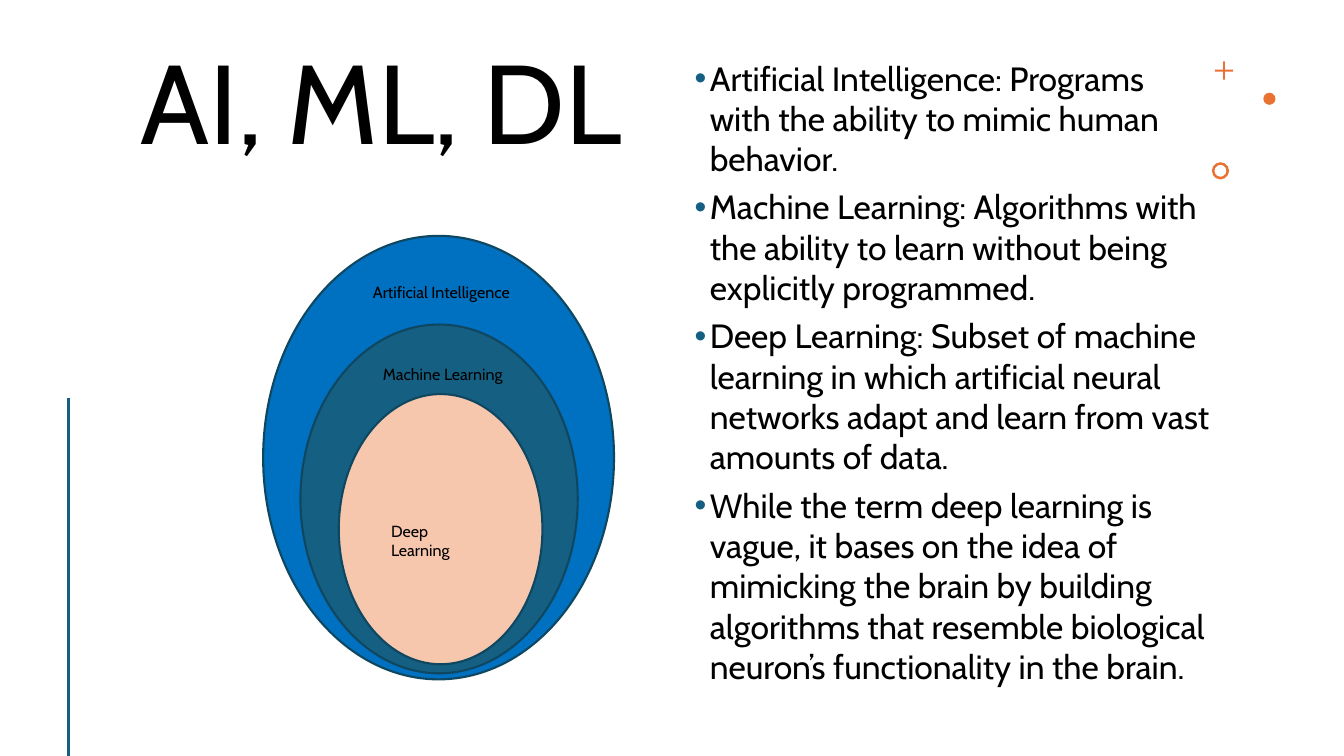
import pptx
import pptx.dml.color
import pptx.enum.shapes
import pptx.enum.text
import pptx.oxml.ns
import pptx.util
from lxml import etree
from pptx.util import Inches

SHAPE = pptx.enum.shapes.MSO_SHAPE
ANCHOR = pptx.enum.text.MSO_ANCHOR
FONT = "Cabin"
COLORS = {
    "text": "000000",
    "accent": "E97132",
    "teal": "156082",
    "outline": "104760",
    "blue": "0070C0",
    "peach": "F6C6AD",
}
DEFINITIONS = [
    "Artificial Intelligence: Programs with the ability to mimic human behavior.",
    "Machine Learning: Algorithms with the ability to learn without being explicitly programmed.",
    "Deep Learning: Subset of machine learning in which artificial neural networks adapt and "
    "learn from vast amounts of data.",
    "While the term deep learning is vague, it bases on the idea of mimicking the brain by "
    "building algorithms that resemble biological neuron’s functionality in the brain.",
]
NESTED_FIELDS = [
    ("blue", (2.61, 2.34, 3.48, 4.4), "Artificial Intelligence", (3.6, 2.75, 1.65, 0.29)),
    ("teal", (2.98, 3.22, 2.75, 3.46), "Machine Learning", (3.7, 3.57, 1.6, 0.29)),
    ("peach", (3.36, 3.91, 2.02, 2.68), "Deep Learning", (3.78, 5.12, 1.18, 0.49)),
]


def color(name):
    return pptx.dml.color.RGBColor.from_string(COLORS[name])


def paint(shape, fill, outline=None):
    shape.shadow.inherit = False
    shape.fill.solid()
    shape.fill.fore_color.rgb = color(fill)
    if outline:
        shape.line.color.rgb = color(outline)
        shape.line.width = pptx.util.Pt(1.5)
    else:
        shape.line.fill.background()


def add_figure(slide, kind, box, fill, outline=None):
    figure = slide.shapes.add_shape(kind, *map(Inches, box))
    paint(figure, fill, outline)
    return figure


def add_frame(slide, box, margins=(0.1, 0.05), anchor=ANCHOR.TOP):
    frame = slide.shapes.add_textbox(*map(Inches, box)).text_frame
    frame.word_wrap = True
    frame.vertical_anchor = anchor
    frame.margin_left = frame.margin_right = Inches(margins[0])
    frame.margin_top = frame.margin_bottom = Inches(margins[1])
    return frame


def add_run(paragraph, text, size):
    run = paragraph.add_run()
    run.text = text
    run.font.size = pptx.util.Pt(size)
    run.font.name = FONT
    run.font.color.rgb = color("text")


def add_bullet(paragraph):
    properties = paragraph._p.get_or_add_pPr()
    properties.set("marL", str(Inches(0.15)))
    properties.set("indent", str(-Inches(0.15)))
    qn = pptx.oxml.ns.qn
    bullet_color = etree.SubElement(properties, qn("a:buClr"))
    etree.SubElement(bullet_color, qn("a:srgbClr"), val=COLORS["teal"])
    etree.SubElement(properties, qn("a:buFont"), typeface="Arial")
    etree.SubElement(properties, qn("a:buChar"), char="•")


def add_title(slide):
    frame = add_frame(slide, (1.3, 0.42, 10.23, 1.31), anchor=ANCHOR.MIDDLE)
    title = frame.paragraphs[0]
    title.line_spacing = 0.9
    add_run(title, "AI, ML, DL", 80)


def add_definitions(slide):
    frame = add_frame(slide, (6.82, 0.53, 5.25, 6.4), margins=(0.07, 0.04))
    for index, definition in enumerate(DEFINITIONS):
        paragraph = frame.add_paragraph() if index else frame.paragraphs[0]
        add_bullet(paragraph)
        if index:
            paragraph.space_before = pptx.util.Pt(5.7)
        add_run(paragraph, definition, 24)


def add_plus(slide, center_x, center_y, reach, half):
    corners = []
    across, down = 1, 0
    for _ in range(4):
        for along, aside in ((reach, -half), (reach, half), (half, half)):
            corners.append((
                Inches(center_x + along * across - aside * down),
                Inches(center_y + along * down + aside * across),
            ))
        across, down = -down, across
    builder = slide.shapes.build_freeform(*corners[0])
    builder.add_line_segments(corners[1:], close=True)
    paint(builder.convert_to_shape(), "accent")


def add_ornaments(slide):
    add_plus(slide, 12.14, 0.7, 0.09, 0.01)
    add_figure(slide, SHAPE.OVAL, (12.53, 0.92, 0.12, 0.12), "accent")
    ring = add_figure(slide, SHAPE.DONUT, (12.02, 1.61, 0.17, 0.17), "accent")
    ring.adjustments[0] = 0.15


def add_side_rule(slide):
    rule = slide.shapes.add_connector(
        pptx.enum.shapes.MSO_CONNECTOR.STRAIGHT,
        Inches(0.68), Inches(3.95), Inches(0.68), Inches(7.5),
    )
    rule.line.color.rgb = color("teal")
    rule.line.width = pptx.util.Pt(2)
    etree.SubElement(rule._element.spPr, pptx.oxml.ns.qn("a:effectLst"))


def add_nested_fields(slide):
    for fill, oval_box, label, label_box in NESTED_FIELDS:
        add_figure(slide, SHAPE.OVAL, oval_box, fill, "outline")
        add_run(add_frame(slide, label_box).paragraphs[0], label, 11.5)


def main():
    deck = pptx.Presentation()
    deck.slide_width = Inches(13.33)
    deck.slide_height = Inches(7.5)
    slide = deck.slides.add_slide(deck.slide_layouts[6])
    add_title(slide)
    add_ornaments(slide)
    add_side_rule(slide)
    add_definitions(slide)
    add_nested_fields(slide)
    deck.save("out.pptx")


if __name__ == "__main__":
    main()
